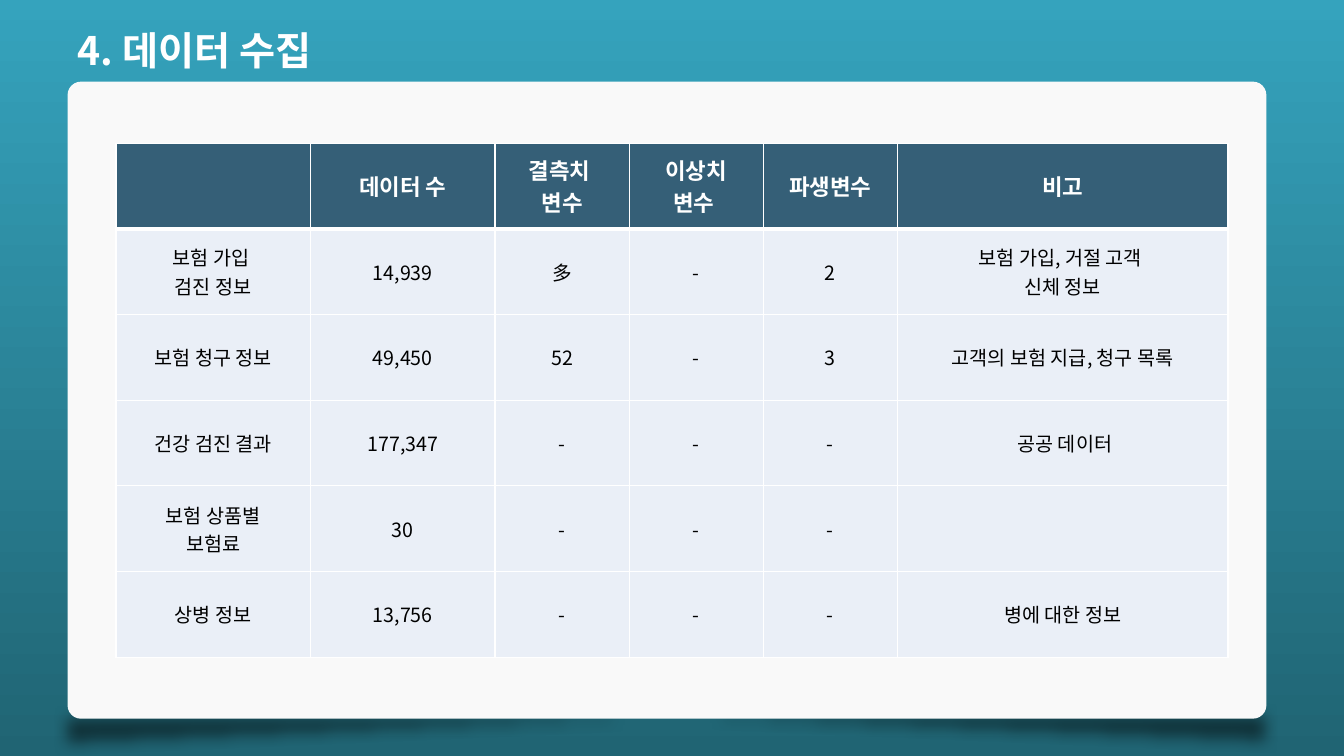
from lxml.etree import SubElement
from pptx import Presentation
from pptx.dml.color import RGBColor
from pptx.enum.shapes import MSO_SHAPE
from pptx.enum.text import MSO_ANCHOR, PP_ALIGN
from pptx.oxml.ns import qn
from pptx.util import Inches, Pt

# Content: a tuple holds paragraphs, "\n" is a line break
TITLE = "4. 데이터 수집"
ROWS = [
    ["", "데이터 수", "결측치 \n변수", "이상치\n변수 ", "파생변수", "비고"],
    [("보험 가입 ", "검진 정보"), "14,939", "多", "-", "2", "보험 가입, 거절 고객 \n신체 정보"],
    ["보험 청구 정보", "49,450", "52", "-", "3", "고객의 보험 지급, 청구 목록"],
    ["건강 검진 결과", "177,347", "-", "-", "-", " 공공 데이터"],
    ["보험 상품별\n보험료", "30", "-", "-", "-", ""],
    ["상병 정보", "13,756", "-", "-", "-", "병에 대한 정보"],
]
COLUMN_WIDTHS = [1.93, 1.83, 1.33, 1.33, 1.33, 3.28]
ROW_HEIGHT = 0.85
SHADOWS = [(0.65, 6.98, True), (0.54, 7.0, False)]  # left, top, mirrored

FONT = "Noto Sans CJK KR"
TOP_TEAL = RGBColor(0x35, 0xA3, 0xBD)
BOTTOM_TEAL = RGBColor(0x20, 0x64, 0x73)
PANEL = RGBColor(0xF9, 0xF9, 0xF9)
HEADER = RGBColor(0x35, 0x5F, 0x77)
BODY = RGBColor(0xEA, 0xEF, 0xF7)
WHITE = RGBColor(0xFF, 0xFF, 0xFF)
BLACK = RGBColor(0, 0, 0)


def add_text(paragraph, text, size, color, bold):
    for index, line in enumerate(text.split("\n")):
        if index:
            paragraph.add_line_break()
        run = paragraph.add_run()
        run.text = line
        run.font.size = Pt(size)
        run.font.bold = bold
        run.font.color.rgb = color
        run.font.name = FONT
        SubElement(run.font._element, qn("a:ea"), typeface=FONT)


def add_plain_shape(kind, left, top, width, height, color):
    shape = slide.shapes.add_shape(kind, Inches(left), Inches(top), Inches(width), Inches(height))
    shape.fill.solid()
    shape.fill.fore_color.rgb = color
    shape.line.fill.background()
    shape.shadow.inherit = False
    return shape


def add_soft_shadow(left, top, mirrored):
    shape = add_plain_shape(MSO_SHAPE.RIGHT_TRIANGLE, left, top, 12.02, 0.5, BLACK)
    properties = shape._element.spPr
    transform = properties.find(qn("a:xfrm"))
    transform.set("flipV", "1")
    if mirrored:
        transform.set("flipH", "1")
    color = properties.find(qn("a:solidFill"))[0]
    SubElement(color, qn("a:alpha"), val="51000")
    SubElement(properties.find(qn("a:effectLst")), qn("a:softEdge"), rad=str(Inches(0.14)))


def set_borders(cell, top, bottom):
    properties = cell._tc.get_or_add_tcPr()
    for side, points in (("L", 1), ("R", 1), ("T", top), ("B", bottom)):
        line = SubElement(properties, qn(f"a:ln{side}"), w=str(Pt(points)))
        SubElement(SubElement(line, qn("a:solidFill")), qn("a:srgbClr"), val=str(WHITE))


presentation = Presentation()
presentation.slide_width = Inches(13.33)
presentation.slide_height = Inches(7.5)
slide = presentation.slides.add_slide(presentation.slide_layouts[6])

# Background
background = slide.background.fill
background.gradient()
background.gradient_angle = 270
for stop, color in zip(background.gradient_stops, (TOP_TEAL, BOTTOM_TEAL)):
    stop.color.rgb = color

# Panel with lifted corners
for shadow in SHADOWS:
    add_soft_shadow(*shadow)
panel = add_plain_shape(MSO_SHAPE.ROUNDED_RECTANGLE, 0.67, 0.81, 11.89, 6.32, PANEL)
panel.adjustments[0] = 0.021

# Table
table = slide.shapes.add_table(
    len(ROWS), len(COLUMN_WIDTHS), Inches(1.15), Inches(1.42),
    Inches(sum(COLUMN_WIDTHS)), Inches(ROW_HEIGHT * len(ROWS)),
).table
table.horz_banding = False
for column, width in zip(table.columns, COLUMN_WIDTHS):
    column.width = Inches(width)
for row_index, values in enumerate(ROWS):
    is_header = row_index == 0
    size, color = (16, WHITE) if is_header else (14, BLACK)
    table.rows[row_index].height = Inches(ROW_HEIGHT)
    for column_index, value in enumerate(values):
        cell = table.cell(row_index, column_index)
        set_borders(cell, 3 if row_index == 1 else 1, 3 if is_header else 1)
        cell.fill.solid()
        cell.fill.fore_color.rgb = HEADER if is_header else BODY
        cell.vertical_anchor = MSO_ANCHOR.MIDDLE
        if not value:
            continue
        frame = cell.text_frame
        for index, text in enumerate(value if isinstance(value, tuple) else (value,)):
            paragraph = frame.add_paragraph() if index else frame.paragraphs[0]
            paragraph.alignment = PP_ALIGN.CENTER
            add_text(paragraph, text, size, color, is_header)

# Title
title = slide.shapes.add_textbox(Inches(0.67), Inches(0.21), Inches(7.52), Inches(0.57))
title.text_frame.word_wrap = True
add_text(title.text_frame.paragraphs[0], TITLE, 28, WHITE, True)

presentation.save("out.pptx")
